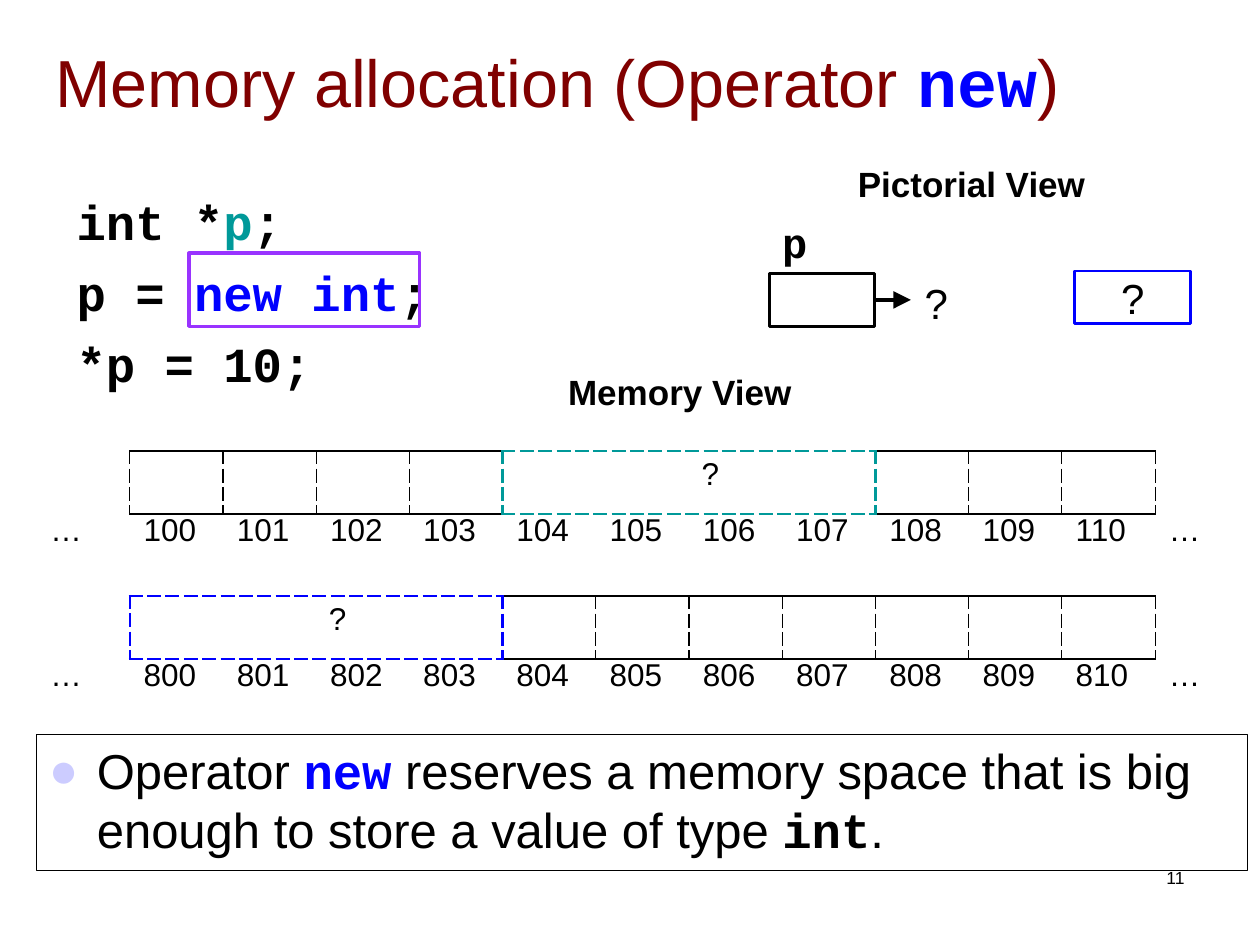
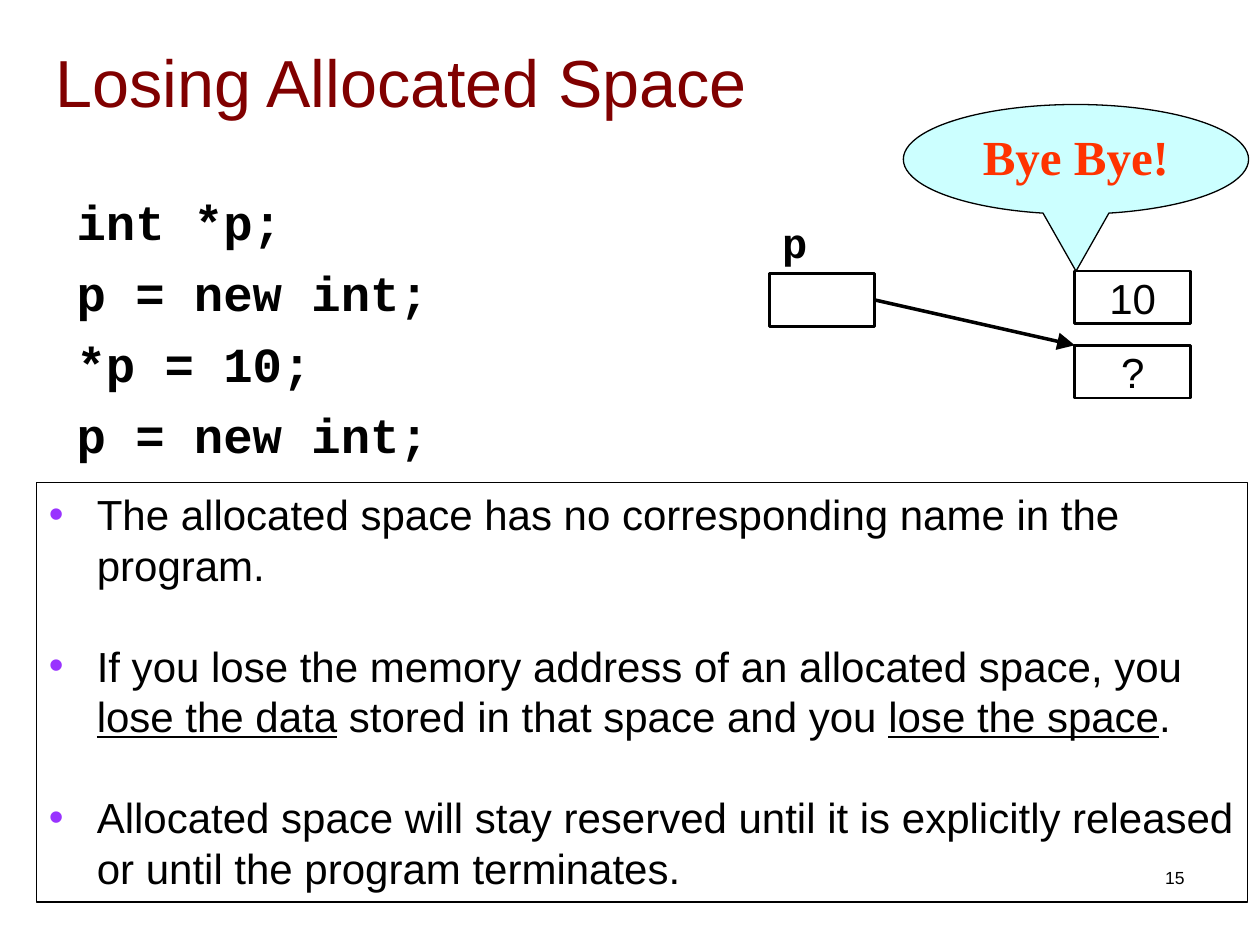
from lxml import etree
from pptx import Presentation
from pptx.dml.color import RGBColor
from pptx.enum.shapes import MSO_CONNECTOR, MSO_SHAPE
from pptx.enum.text import MSO_ANCHOR, MSO_AUTO_SIZE, PP_ALIGN
from pptx.oxml.ns import qn
from pptx.util import Inches, Pt

BLACK, WHITE, MAROON, BLUE = "000000", "FFFFFF", "800000", "0000FF"
TEAL, PURPLE, LAVENDER = "009999", "9933FF", "CCCCFF"
CYAN, ORANGE = "CCFFFF", "FF3300"
SANS, MONO, SERIF = "Arial", "Courier New", "Times New Roman"
TITLE_ONLY = 5
CELL_WIDTH = 0.74
MEMORY_LEFT, LABEL_LEFT = 1.03, 0.3
BYTES_SHOWN, INT_BYTES = 11, 4
POINTED_CELL = (8.53, 2.15, 0.92, 0.42)
SECOND_CELL = (8.53, 2.74, 0.92, 0.42)


def rgb(color):
    return RGBColor.from_string(color)


def inches(box):
    return [Inches(length) for length in box]


def code(text, color=BLACK):
    """Describe a run of source code."""
    return text, {"font": MONO, "color": color, "bold": True}


def add_runs(paragraph, runs, size):
    """Add plain strings or (text, format) pairs."""
    for item in runs:
        text, style = (item, {}) if isinstance(item, str) else item
        run = paragraph.add_run()
        run.text = text
        run.font.size = Pt(size)
        run.font.name = style.get("font", SANS)
        run.font.color.rgb = rgb(style.get("color", BLACK))
        run.font.bold = style.get("bold", False)
        run.font.underline = style.get("underline", False)


def add_bullet(paragraph, char, color):
    properties = paragraph._p.get_or_add_pPr()
    properties.set("marL", str(Inches(0.38)))
    properties.set("indent", str(-Inches(0.38)))
    bullet_color = etree.SubElement(properties, qn("a:buClr"))
    etree.SubElement(bullet_color, qn("a:srgbClr")).set("val", color)
    etree.SubElement(properties, qn("a:buFont")).set("typeface", SANS)
    etree.SubElement(properties, qn("a:buChar")).set("char", char)


def fill_frame(frame, paragraphs, size, align=PP_ALIGN.LEFT, bullet=None, gap=0):
    for index, runs in enumerate(paragraphs):
        paragraph = frame.add_paragraph() if index else frame.paragraphs[0]
        paragraph.alignment = align
        if index:
            paragraph.space_before = Pt(gap)
        if bullet:
            add_bullet(paragraph, *bullet)
        add_runs(paragraph, runs, size)


def add_slide(prs, title_runs):
    slide = prs.slides.add_slide(prs.slide_layouts[TITLE_ONLY])
    title = slide.shapes.title
    title.left, title.top, title.width, title.height = inches((0.34, 0.14, 9.37, 1.01))
    title.text_frame.auto_size = MSO_AUTO_SIZE.NONE
    title.text_frame.vertical_anchor = MSO_ANCHOR.MIDDLE
    fill_frame(title.text_frame, [title_runs], 38)
    return slide


def add_text(slide, box, paragraphs, size, wrap=True, **layout):
    frame = slide.shapes.add_textbox(*inches(box)).text_frame
    frame.word_wrap = wrap
    if not wrap:
        frame.auto_size = MSO_AUTO_SIZE.SHAPE_TO_FIT_TEXT
    fill_frame(frame, paragraphs, size, **layout)


def add_label(slide, box, run, size):
    add_text(slide, box, [[run]], size, wrap=False)


def add_code(slide, height, lines):
    add_text(slide, (0.51, 1.47, 5.24, height), lines, 28, gap=7)


def add_page_number(slide, number):
    add_text(slide, (7.17, 6.83, 2.33, 0.5), [[number]], 10, align=PP_ALIGN.RIGHT)


def add_box(slide, box, line, width, fill=None, kind=MSO_SHAPE.RECTANGLE):
    shape = slide.shapes.add_shape(kind, *inches(box))
    shape.shadow.inherit = False
    if fill:
        shape.fill.solid()
        shape.fill.fore_color.rgb = rgb(fill)
    else:
        shape.fill.background()
    shape.line.color.rgb = rgb(line)
    shape.line.width = Pt(width)
    shape.text_frame.word_wrap = True
    shape.text_frame.vertical_anchor = MSO_ANCHOR.TOP
    return shape


def add_value_cell(slide, box, value, line=BLACK):
    cell = add_box(slide, box, line, 1.5)
    cell.text_frame.vertical_anchor = MSO_ANCHOR.MIDDLE
    fill_frame(cell.text_frame, [[value]], 24, align=PP_ALIGN.CENTER)


def add_notes_box(slide, top, height, paragraphs, size, **layout):
    box = add_box(slide, (0.29, top, 9.61, height), BLACK, 0.75)
    fill_frame(box.text_frame, paragraphs, size, **layout)


def add_pointer(slide, end_x, end_y):
    """Draw the variable p with an arrow to the given point."""
    variable = add_box(slide, (6.11, 2.17, 0.83, 0.42), BLACK, 1.5, WHITE)
    add_label(slide, (6.11, 1.67, 0.4, 0.5), code("p"), 24)
    arrow = slide.shapes.add_connector(
        MSO_CONNECTOR.STRAIGHT, *inches((6.94, 2.38, end_x, end_y)))
    arrow.begin_connect(variable, 3)
    arrow.line.color.rgb = rgb(BLACK)
    arrow.line.width = Pt(2)
    head = etree.SubElement(arrow.line._get_or_add_ln(), qn("a:tailEnd"))
    for name, value in (("type", "triangle"), ("w", "lg"), ("len", "lg")):
        head.set(name, value)
    etree.SubElement(arrow._element.spPr, qn("a:effectLst"))


def set_border(cell, side, border):
    """Border is (color, width, dash), or None for no line."""
    line = etree.SubElement(cell._tc.get_or_add_tcPr(), qn("a:ln" + side))
    if border is None:
        etree.SubElement(line, qn("a:noFill"))
        return
    color, width, dash = border
    line.set("w", str(Pt(width)))
    solid = etree.SubElement(line, qn("a:solidFill"))
    etree.SubElement(solid, qn("a:srgbClr")).set("val", color)
    etree.SubElement(line, qn("a:prstDash")).set("val", dash)


def add_row_table(slide, left, top, height, texts, borders):
    """Add a one-row table; borders gives L, R, T and B for each column."""
    frame = slide.shapes.add_table(
        1, len(texts), *inches((left, top, CELL_WIDTH * len(texts), height)))
    table = frame.table
    table.first_row = table.horz_banding = False
    for column, text in enumerate(texts):
        table.columns[column].width = Inches(CELL_WIDTH)
        cell = table.cell(0, column)
        for side, border in zip("LRTB", borders(column)):
            set_border(cell, side, border)
        cell.fill.background()
        if text:
            fill_frame(cell.text_frame, [[text]], 18)


def add_memory(slide, top, first_address, int_start, color):
    """Draw a strip of bytes in which one int is outlined."""
    int_end = int_start + INT_BYTES
    outline = (color, 1.47, "dash")

    def vertical_edge(position):
        if position in (int_start, int_end):
            return outline
        if int_start < position < int_end:
            return None
        return BLACK, 0.75, "dash"

    def byte_borders(column):
        inside = int_start <= column < int_end
        level = outline if inside else (BLACK, 1.08, "solid")
        return vertical_edge(column), vertical_edge(column + 1), level, level

    values = [""] * BYTES_SHOWN
    values[int_start + 2] = "?"
    add_row_table(slide, MEMORY_LEFT, top, 0.5, values, byte_borders)
    addresses = [str(first_address + offset) for offset in range(BYTES_SHOWN)]
    add_row_table(slide, LABEL_LEFT, top + 0.44, 0.4, ["…", *addresses, "…"],
                  lambda column: [None] * 4)


def build_allocation(prs):
    slide = add_slide(prs, [
        ("Memory allocation (Operator ", {"color": MAROON}),
        code("new", BLUE),
        (")", {"color": MAROON}),
    ])
    add_code(slide, 1.85, [
        [code("int *"), code("p", TEAL), code(";")],
        [code("p = "), code("new int", BLUE), code(";")],
        [code("*p = 10;")],
    ])
    add_label(slide, (4.41, 2.89, 1.98, 0.44), ("Memory View", {"bold": True}), 20)
    add_memory(slide, 3.58, 100, 4, TEAL)
    add_memory(slide, 4.73, 800, 0, BLUE)
    add_pointer(slide, 7.23, 2.38)
    add_label(slide, (7.24, 2.15, 0.38, 0.5), "?", 24)
    add_label(slide, (6.71, 1.24, 2.01, 0.44), ("Pictorial View", {"bold": True}), 20)
    add_box(slide, (1.5, 2.01, 1.83, 0.58), PURPLE, 2)
    add_value_cell(slide, POINTED_CELL, "?", BLUE)
    add_notes_box(slide, 5.83, 1.08, [[
        "Operator ",
        code("new", BLUE),
        " reserves a memory space that is big enough to store a value of type ",
        code("int"),
        ".",
    ]], 28, bullet=("●", LAVENDER))
    add_page_number(slide, "11")


def build_losing_space(prs):
    slide = add_slide(prs, [("Losing Allocated Space", {"color": MAROON})])
    lines = ["int *p;", "p = new int;", "*p = 10;", "p = new int;"]
    add_code(slide, 2.36, [[code(line)] for line in lines])
    add_pointer(slide, 8.53, 2.74)
    add_value_cell(slide, POINTED_CELL, "10")
    underlined = {"underline": True}
    add_notes_box(slide, 3.83, 3.33, [
        ["The allocated space has no corresponding name in the program."],
        ["If you lose the memory address of an allocated space, you ",
         ("lose the data", underlined),
         " stored in that space and you ",
         ("lose the space", underlined),
         "."],
        ["Allocated space will stay reserved until it is explicitly released "
         "or until the program terminates."],
    ], 24, bullet=("•", PURPLE), gap=29)
    add_value_cell(slide, SECOND_CELL, "?")
    farewell = add_box(slide, (7.17, 0.83, 2.74, 0.87), BLACK, 0.75, CYAN,
                       MSO_SHAPE.OVAL_CALLOUT)
    farewell.adjustments[0] = 0
    farewell.adjustments[1] = 1.02
    fill_frame(farewell.text_frame,
               [[("Bye Bye!", {"font": SERIF, "color": ORANGE, "bold": True})]],
               28, align=PP_ALIGN.CENTER)
    add_page_number(slide, "15")


def main():
    prs = Presentation()
    prs.slide_width, prs.slide_height = Inches(10), Inches(7.5)
    build_allocation(prs)
    build_losing_space(prs)
    prs.save("out.pptx")


if __name__ == "__main__":
    main()
